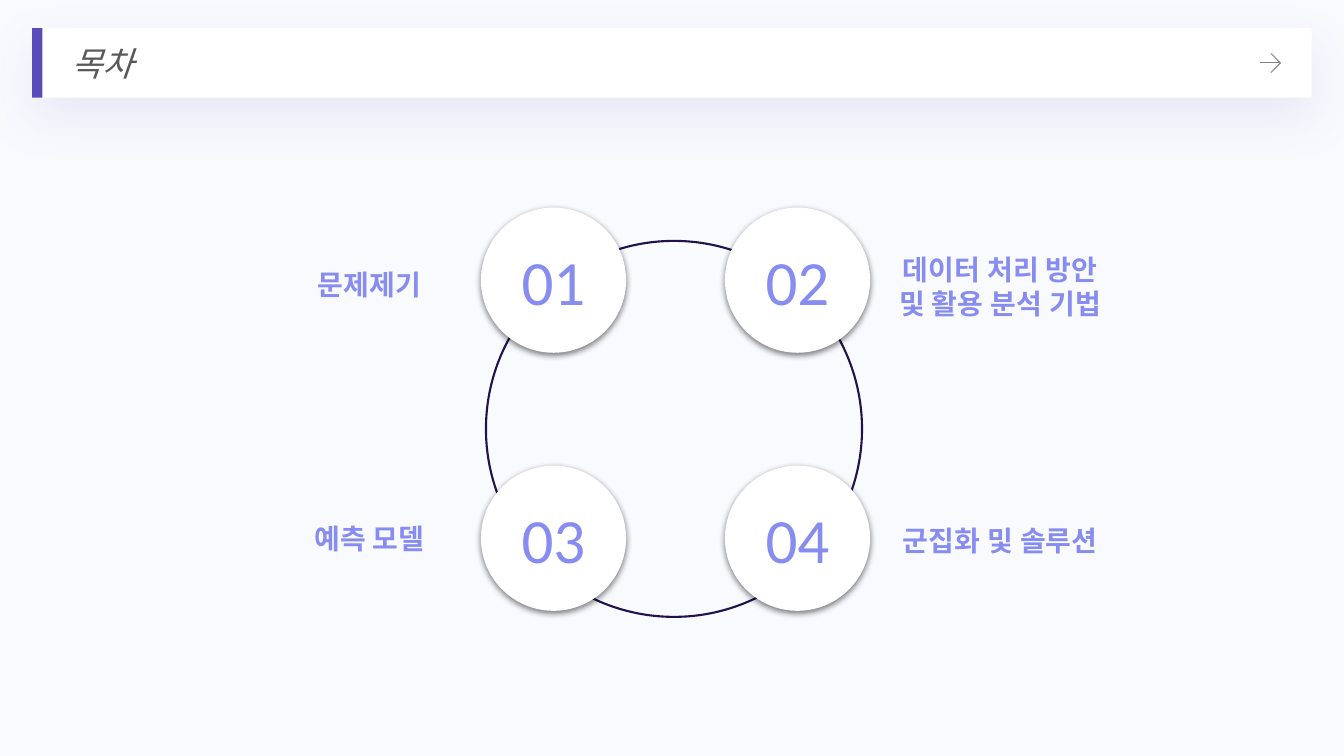
from dataclasses import dataclass

from lxml.etree import SubElement
from pptx import Presentation
from pptx.dml.color import RGBColor
from pptx.enum.shapes import MSO_CONNECTOR, MSO_SHAPE
from pptx.enum.text import MSO_ANCHOR, PP_ALIGN
from pptx.oxml.ns import qn
from pptx.util import Inches, Pt


@dataclass(frozen=True)
class Theme:
    back: str = "F9FAFE"
    white: str = "FFFFFF"
    bar: str = "5B4BB9"
    title: str = "595959"
    arrow: str = "7F7F7F"
    ring: str = "20124D"
    accent: str = "878CF0"
    black: str = "000000"
    font: str = "Roboto"
    digit: str = "Calibri"
    head: int = 24
    label: int = 20
    number: int = 45


THEME = Theme()


def color(code):
    return RGBColor.from_string(code)


def write(frame, text, size, tint, font=THEME.font, bold=False, italic=False,
          align=PP_ALIGN.CENTER, pad=0.1, indent=0):
    """Fill a text frame, one paragraph for each line of text."""
    frame.word_wrap = True
    frame.vertical_anchor = MSO_ANCHOR.MIDDLE
    frame.margin_left = frame.margin_right = Inches(0.1)
    frame.margin_top = frame.margin_bottom = Inches(pad)
    for i, line in enumerate(text.split("\n")):
        para = frame.add_paragraph() if i else frame.paragraphs[0]
        para.alignment = align
        if indent:
            props = para._p.get_or_add_pPr()
            props.set("marL", str(Inches(indent)))
            props.set("indent", "0")
        run = para.add_run()
        run.text = line
        run.font.size = Pt(size)
        run.font.name = font
        run.font.bold = bold
        run.font.italic = italic
        run.font.color.rgb = color(tint)
        SubElement(run._r.get_or_add_rPr(), qn("a:ea"), typeface=font)


def add_text(slide, box, text, size, tint, **style):
    area = slide.shapes.add_textbox(*map(Inches, box))
    write(area.text_frame, text, size, tint, **style)


def add_shape(slide, kind, box, fill, line=None, width=1.5):
    shape = slide.shapes.add_shape(kind, *map(Inches, box))
    shape.shadow.inherit = False
    shape.fill.solid()
    shape.fill.fore_color.rgb = color(fill)
    if line:
        shape.line.color.rgb = color(line)
        shape.line.width = Pt(width)
    else:
        shape.line.fill.background()
    return shape


def cast(shape, tint, alpha, blur, dist):
    """Give a shape a soft shadow straight below it."""
    effects = shape._element.spPr.find(qn("a:effectLst"))
    outer = SubElement(effects, qn("a:outerShdw"), blurRad=str(Pt(blur)),
                       dist=str(Pt(dist)), dir="5400000", algn="t",
                       rotWithShape="0")
    tone = SubElement(outer, qn("a:srgbClr"), val=tint)
    SubElement(tone, qn("a:alpha"), val=str(alpha * 1000))


def add_arrow(slide, box):
    left, top, wide, high = box
    right, mid = left + wide, top + high / 2
    group = slide.shapes.add_group_shape()
    # Open arrow tip
    pen = group.shapes.build_freeform(Inches(right - high / 2), Inches(top))
    pen.add_line_segments([(Inches(right), Inches(mid)),
                           (Inches(right - high / 2), Inches(top + high))],
                          close=False)
    tip = pen.convert_to_shape()
    tip.shadow.inherit = False
    tip.fill.background()
    # Shaft
    shaft = group.shapes.add_connector(
        MSO_CONNECTOR.STRAIGHT, Inches(left), Inches(mid),
        Inches(right), Inches(mid))
    SubElement(shaft._element.spPr, qn("a:effectLst"))
    for part in (tip, shaft):
        part.line.color.rgb = color(THEME.arrow)
        part.line.width = Pt(0.75)


def add_header(slide, box, title):
    left, top, wide, high = box
    # Title band
    band = add_shape(slide, MSO_SHAPE.RECTANGLE, box, THEME.white)
    cast(band, THEME.bar, 10, 35, 13)
    write(band.text_frame, title, THEME.head, THEME.title, italic=True,
          align=PP_ALIGN.LEFT, pad=0.05, indent=0.29)
    # Accent edge and arrow
    add_shape(slide, MSO_SHAPE.RECTANGLE, (left, top, 0.1, high), THEME.bar)
    add_arrow(slide, (left + wide - 0.51, top + 0.25, 0.2, 0.19))


def add_cycle(slide, box, topics):
    left, top, wide, high = box
    # Ring behind the circles
    add_shape(slide, MSO_SHAPE.OVAL, box, THEME.back, THEME.ring)
    # Numbered circles, two in a row, with labels on the outer sides
    size, tall = 1.44, 1.03
    for i, (text, shift) in enumerate(topics):
        row, col = divmod(i, 2)
        x = left + 0.67 + col * 2.42
        y = top + 0.39 + row * 2.56
        disc = add_shape(slide, MSO_SHAPE.OVAL,
                         (x - size / 2, y - size / 2, size, size), THEME.white)
        cast(disc, THEME.black, 50, 4.5, 1.5)
        add_text(slide, (x - 1.22, y - tall / 2, 2.44, tall), f"{i + 1:02}",
                 THEME.number, THEME.accent, font=THEME.digit)
        start, span = (left + 3.97, 2.26) if col else (left - 2.07, 1.83)
        deep = 1.15 if "\n" in text else 0.45
        add_text(slide, (start, y + shift - deep / 2, span, deep), text,
                 THEME.label, THEME.accent, bold=True)


def main():
    deck = Presentation()
    deck.slide_width, deck.slide_height = Inches(13.33), Inches(7.5)
    slide = deck.slides.add_slide(deck.slide_layouts[6])
    slide.background.fill.solid()
    slide.background.fill.fore_color.rgb = color(THEME.back)

    add_header(slide, (0.32, 0.28, 12.69, 0.69), "목차")
    # Each topic: label and its drop from the circle's centre
    add_cycle(slide, (4.82, 2.39, 3.73, 3.73), [
        ("문제제기", 0.04),
        ("데이터 처리 방안\n및 활용 분석 기법", 0.06),
        ("예측 모델", 0),
        ("군집화 및 솔루션", 0.02),
    ])
    deck.save("out.pptx")


if __name__ == "__main__":
    main()
